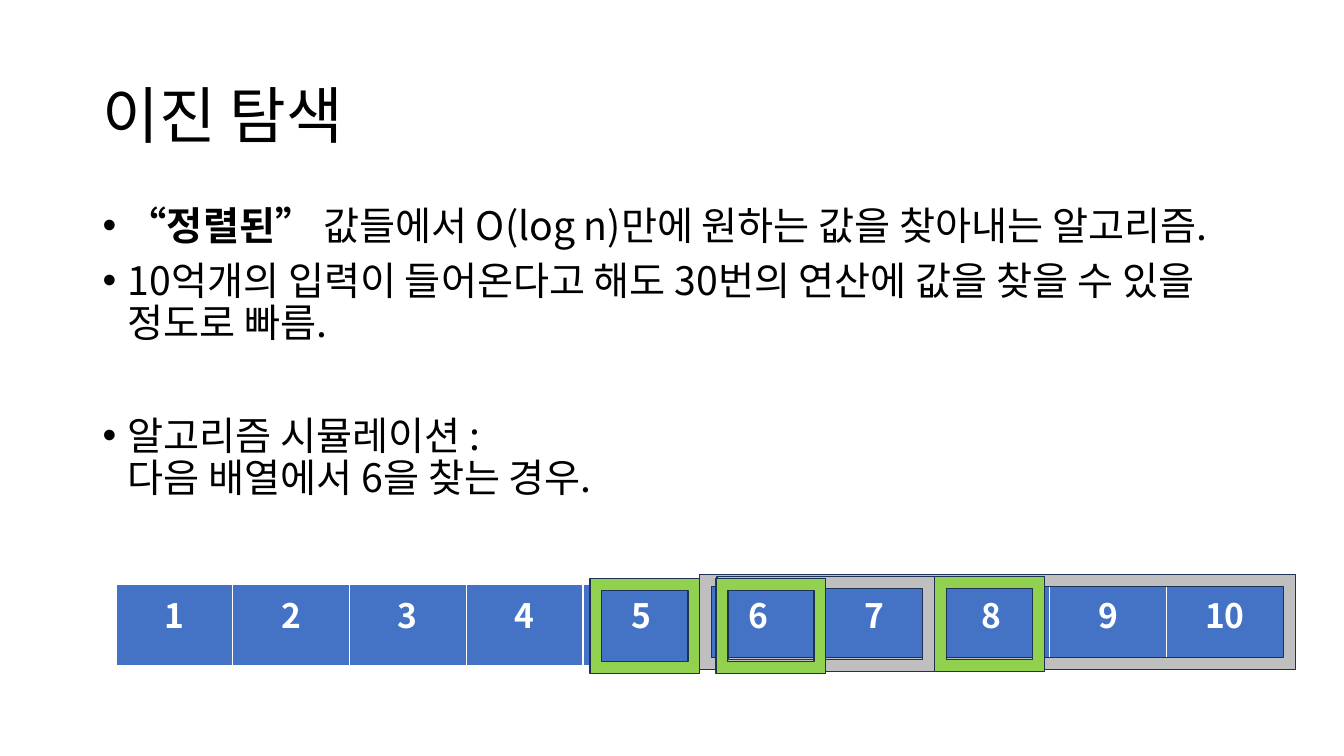
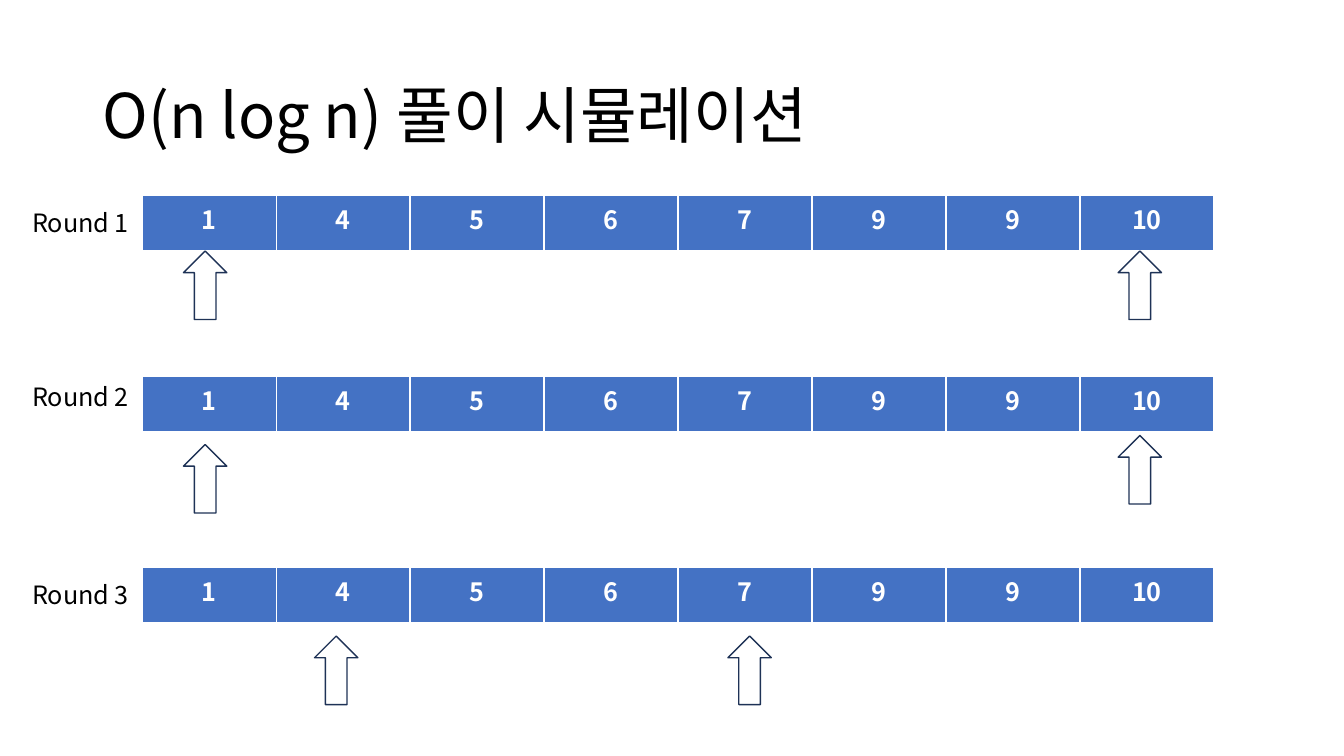
import dataclasses

import lxml.etree
import pptx
import pptx.dml.color
import pptx.enum.shapes
import pptx.enum.text
import pptx.oxml.ns
import pptx.util

PX = 9144  # EMU per px, 100 px to the inch
KIND = pptx.enum.shapes.MSO_SHAPE
ALIGN = pptx.enum.text.PP_ALIGN
ANCHOR = pptx.enum.text.MSO_ANCHOR


@dataclasses.dataclass(frozen=True)
class Theme:
    font: str = "Noto Sans CJK KR"
    ink: str = "000000"
    white: str = "FFFFFF"
    blue: str = "4472C4"
    navy: str = "1E3256"
    gray: str = "BFBFBF"
    green: str = "92D050"
    title: int = 44
    body: int = 28
    large: int = 24
    small: int = 18


THEME = Theme()


def px(*sizes):
    return [size * PX for size in sizes]


def rgb(code):
    return pptx.dml.color.RGBColor.from_string(code)


def node(parent, tag, **attrs):
    return lxml.etree.SubElement(parent, pptx.oxml.ns.qn(tag), attrs)


def write(par, text, size, color=THEME.ink, bold=False, align=None,
          lead=None, before=None, bullet=False):
    """Add text to a paragraph; each newline becomes a line break."""
    if align is not None:
        par.alignment = align
    if lead:
        par.line_spacing = pptx.util.Pt(lead)
    if before is not None:
        par.space_before = pptx.util.Pt(before)
    if bullet:
        props = par._p.get_or_add_pPr()
        props.set("marL", str(25 * PX))
        props.set("indent", str(-25 * PX))
        node(props, "a:buFont", typeface="Arial")
        node(props, "a:buChar", char="•")
    for count, line in enumerate(text.split("\n")):
        if count:
            par.add_line_break()
        run = par.add_run()
        run.text = line
        font = run.font
        font.size = pptx.util.Pt(size)
        font.bold = bold
        font.color.rgb = rgb(color)
        font.name = THEME.font
        node(font._element, "a:ea", typeface=THEME.font)


class Deck:
    """Holds the theme, the file and the current slide."""

    def __init__(self, theme):
        self.theme = theme
        self.file = pptx.Presentation()
        self.file.slide_width, self.file.slide_height = px(1333, 750)
        self.slide = None

    def page(self, title):
        self.slide = self.file.slides.add_slide(self.file.slide_layouts[6])
        frame = self.box(92, 40, 1150, 145, anchor=ANCHOR.MIDDLE)
        write(frame.paragraphs[0], title, self.theme.title, lead=53)

    def box(self, x, y, w, h, anchor=ANCHOR.TOP, wrap=True):
        frame = self.slide.shapes.add_textbox(*px(x, y, w, h)).text_frame
        frame.word_wrap = wrap
        frame.vertical_anchor = anchor
        return frame

    def label(self, text, x, y):
        frame = self.box(x, y, 117, 40, anchor=ANCHOR.MIDDLE, wrap=False)
        write(frame.paragraphs[0], text, self.theme.small)

    def points(self, items, x, y, w, h):
        """Add bullets; an item is its space before and its (text, bold) runs."""
        frame = self.box(x, y, w, h)
        for count, (before, runs) in enumerate(items):
            par = frame.add_paragraph() if count else frame.paragraphs[0]
            for turn, (text, bold) in enumerate(runs):
                write(par, text, self.theme.body, bold=bold, lead=30,
                      before=before, bullet=turn == 0)

    def array(self, values, x, y, w, h, size):
        """Add a one-row table of equal cells."""
        table = self.slide.shapes.add_table(
            1, len(values), *px(x, y, w, h)).table
        table.first_row = table.horz_banding = False
        for col, value in enumerate(values):
            table.columns[col].width = w * PX // len(values)
            cell = table.cell(0, col)
            self.edge(cell)
            cell.fill.solid()
            cell.fill.fore_color.rgb = rgb(self.theme.blue)
            write(cell.text_frame.paragraphs[0], str(value), size,
                  color=self.theme.white, bold=True, align=ALIGN.CENTER)

    def edge(self, cell):
        props = cell._tc.get_or_add_tcPr()
        for side, width in (("L", 1), ("R", 1), ("T", 1), ("B", 3)):
            line = node(props, f"a:ln{side}", w=str(pptx.util.Pt(width)))
            node(node(line, "a:solidFill"), "a:srgbClr", val=self.theme.white)

    def shape(self, kind, x, y, w, h, fill=None):
        item = self.slide.shapes.add_shape(kind, *px(x, y, w, h))
        item.shadow.inherit = False
        item.line.color.rgb = rgb(self.theme.navy)
        item.line.width = pptx.util.Pt(1)
        if fill:
            item.fill.solid()
            item.fill.fore_color.rgb = rgb(fill)
        else:
            item.fill.background()


def search(deck):
    theme = deck.theme
    deck.page("이진 탐색")
    deck.points([
        (2, [("“정렬된” ", True),
             ("값들에서 O(log n)만에 원하는 값을 찾아내는 알고리즘.", False)]),
        (9, [("10억개의 입력이 들어온다고 해도 30번의 연산에 값을 찾을 수 "
              "있을 정도로 빠름.", False)]),
        (51, [("알고리즘 시뮬레이션 :\n다음 배열에서 6을 찾는 경우.", False)]),
    ], 92, 200, 1150, 476)
    deck.array(range(1, 11), 115, 580, 1158, 82, theme.large)
    for x, y, w, fill in (
        (694, 570, 591, theme.gray),
        (585, 574, 109, theme.green),
        (927, 572, 109, theme.green),
        (711, 572, 216, theme.gray),
        (710, 574, 109, theme.green),
    ):
        deck.shape(KIND.FRAME, x, y, w, 94, fill)


def rounds(deck):
    deck.page("O(n log n) 풀이 시뮬레이션")
    values = (1, 4, 5, 6, 7, 9, 9, 10)
    steps = (
        (194, 201, ((182, 249), (1109, 249))),
        (373, 373, ((182, 441), (1109, 432))),
        (563, 570, ((312, 631), (722, 631))),
    )
    for count, (top, mark, arrows) in enumerate(steps, 1):
        deck.array(values, 141, top, 1063, 56, deck.theme.small)
        deck.label(f"Round {count}", 22, mark)
        for x, y in arrows:
            deck.shape(KIND.UP_ARROW, x, y, 43, 68)


def main():
    deck = Deck(THEME)
    search(deck)
    rounds(deck)
    deck.file.save("out.pptx")


if __name__ == "__main__":
    main()
